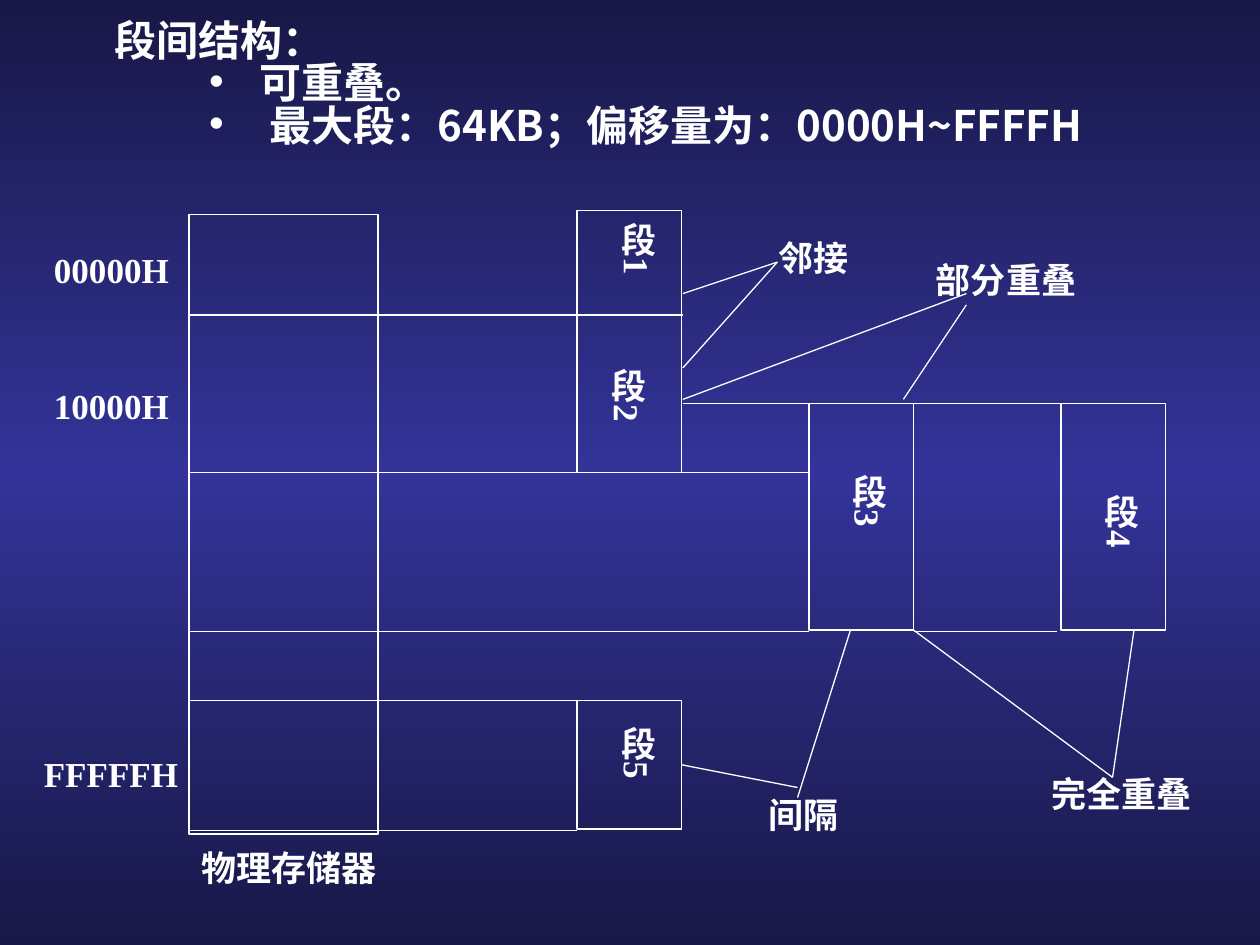
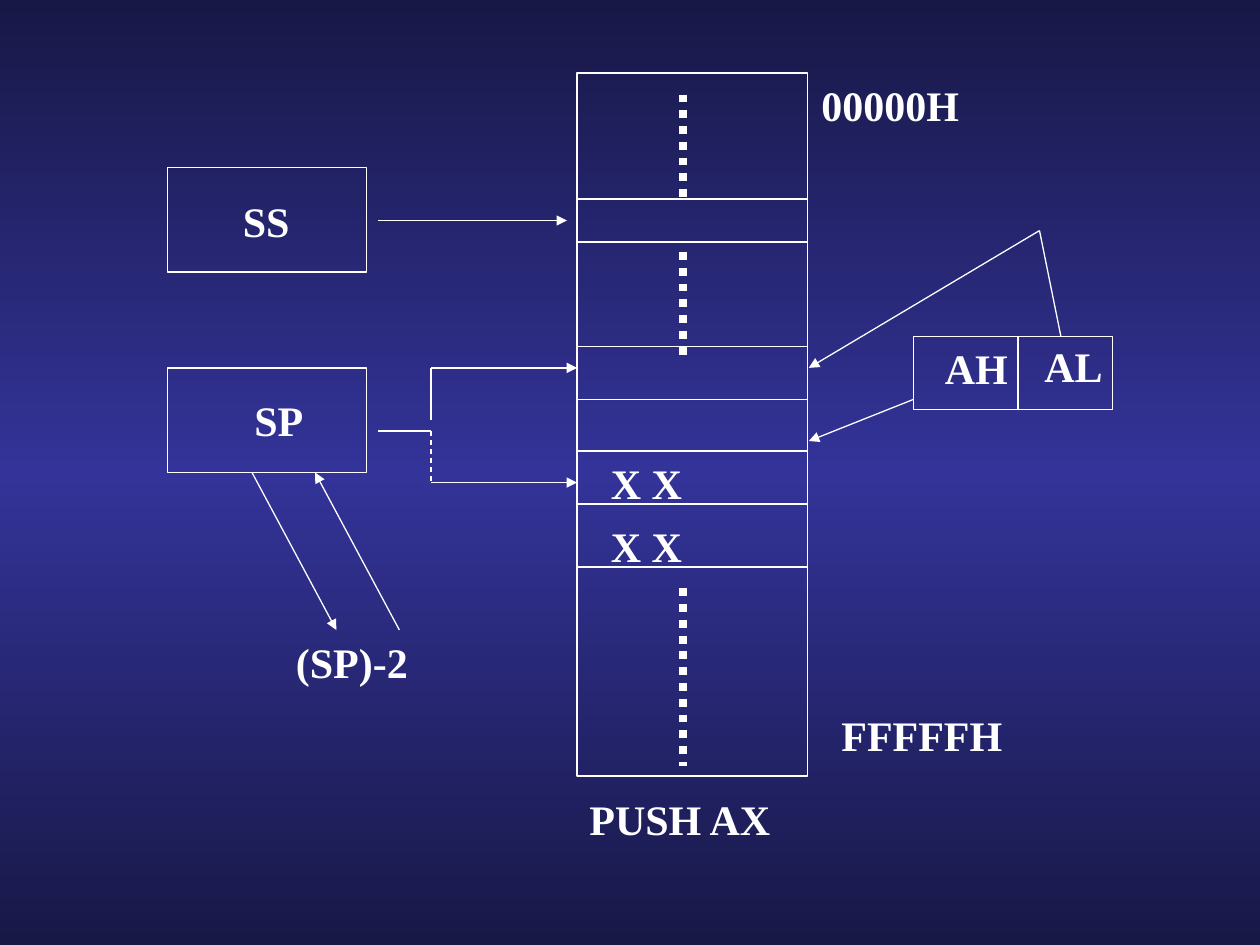
import copy
import dataclasses

import lxml.etree
import pptx
import pptx.dml.color
import pptx.enum.dml
import pptx.enum.shapes
import pptx.enum.text
import pptx.oxml.ns
import pptx.util

Inches = pptx.util.Inches
Points = pptx.util.Pt
qualified = pptx.oxml.ns.qn
LineStyle = pptx.enum.dml.MSO_LINE


@dataclasses.dataclass(frozen=True)
class Theme:
    """Colours, fonts and sizes shared by both slides."""
    edge: str = "181847"
    middle: str = "333399"
    ink: str = "FFFFFF"
    latin_font: str = "Times New Roman"
    chinese_font: str = "Noto Sans CJK JP"
    large: int = 24
    label: int = 20
    line: float = 0.75
    dots: float = 4.5
    label_height: float = 0.43
    large_height: float = 0.5


THEME = Theme()


@dataclasses.dataclass(frozen=True)
class Box:
    """A region in inches that turns local offsets into slide positions."""
    left: float
    top: float
    width: float
    height: float

    def inner(self, left, top, width, height):
        """Return a box placed relative to this one."""
        return Box(self.left + left, self.top + top, width, height)

    def point(self, offset):
        """Return the slide position of a local offset."""
        return Inches(self.left + offset[0]), Inches(self.top + offset[1])

    def frame(self):
        """Return left, top, width and height as lengths."""
        return tuple(Inches(value) for value in dataclasses.astuple(self))


def colour(value):
    """Return an RGB colour from its hexadecimal text."""
    return pptx.dml.color.RGBColor.from_string(value)


def write_text(paragraph, text, *, size=THEME.label, font=THEME.latin_font):
    """Write one formatted run with matching Chinese font."""
    run = paragraph.add_run()
    run.text = text
    run.font.size = Points(size)
    run.font.bold = True
    run.font.name = font
    run.font.color.rgb = colour(THEME.ink)
    latin = run._r.find(".//" + qualified("a:latin"))
    east_asian = lxml.etree.Element(
        qualified("a:ea"), typeface=THEME.chinese_font)
    latin.addnext(east_asian)


def add_label(slide, box, text, *, wrap=True, vertical=False, **text_format):
    """Add a text box that fits its text."""
    label = slide.shapes.add_textbox(*box.frame())
    frame = label.text_frame
    frame.word_wrap = wrap
    frame.auto_size = pptx.enum.text.MSO_AUTO_SIZE.SHAPE_TO_FIT_TEXT
    if vertical:
        label.element.find(".//" + qualified("a:bodyPr")).set("vert", "eaVert")
    write_text(frame.paragraphs[0], text, **text_format)


def add_large_label(slide, region, offset, width, text, *, wrap=True):
    """Add a large label at an offset within a region."""
    box = region.inner(*offset, width, THEME.large_height)
    add_label(slide, box, text, wrap=wrap, size=THEME.large)


def add_rectangle(slide, box):
    """Add an outlined rectangle without fill."""
    rectangle = slide.shapes.add_shape(
        pptx.enum.shapes.MSO_SHAPE.RECTANGLE, *box.frame())
    rectangle.shadow.inherit = False
    rectangle.fill.background()
    rectangle.line.color.rgb = colour(THEME.ink)
    rectangle.line.width = Points(THEME.line)
    return rectangle


def add_line(slide, region, start, end, *, width=THEME.line, dash=None, arrow=False):
    """Connect two local offsets with a line or an arrow."""
    connector = slide.shapes.add_connector(
        pptx.enum.shapes.MSO_CONNECTOR.STRAIGHT,
        *region.point(start), *region.point(end))
    connector.line.color.rgb = colour(THEME.ink)
    connector.line.width = Points(width)
    if dash:
        connector.line.dash_style = dash
    outline = connector.element.find(".//" + qualified("a:ln"))
    if arrow:
        lxml.etree.SubElement(outline, qualified("a:tailEnd"), type="triangle")
    lxml.etree.SubElement(outline.getparent(), qualified("a:effectLst"))
    return connector


def paint_background(master):
    """Give the master a vertical three-stop gradient."""
    fill = master.background.fill
    fill.gradient()
    fill.gradient_angle = 270
    background = master.element.find(".//" + qualified("p:bg"))
    first_stop = background.find(".//" + qualified("a:gs"))
    first_stop.addnext(copy.deepcopy(first_stop))
    stops = zip(fill.gradient_stops, (0, 0.5, 1),
                (THEME.edge, THEME.middle, THEME.edge))
    for stop, position, value in stops:
        stop.position = position
        stop.color.rgb = colour(value)


def fill_structure_list(slide, box):
    """Fill the body placeholder with the heading and its bullets."""
    body = slide.placeholders[1]
    body.left, body.top, body.width, body.height = box.frame()
    frame = body.text_frame
    frame.word_wrap = True
    frame.auto_size = pptx.enum.text.MSO_AUTO_SIZE.SHAPE_TO_FIT_TEXT
    frame.vertical_anchor = pptx.enum.text.MSO_ANCHOR.TOP
    items = [
        ("段间结构：", 1, 0.5, 0),
        ("可重叠。", 3, 1.65, -0.4),
        ("最大段：64KB；偏移量为：0000H~FFFFH", 3, 1.73, -0.48),
    ]
    for index, (text, level, margin, indent) in enumerate(items):
        paragraph = frame.add_paragraph() if index else frame.paragraphs[0]
        paragraph.level = level
        properties = paragraph._p.get_or_add_pPr()
        properties.set("marL", str(Inches(margin)))
        properties.set("indent", str(Inches(indent)))
        if indent:
            lxml.etree.SubElement(properties, qualified("a:buFont"), typeface="Arial")
            lxml.etree.SubElement(properties, qualified("a:buChar"), char="•")
        else:
            lxml.etree.SubElement(properties, qualified("a:buNone"))
        paragraph.line_spacing = 0.75
        paragraph.space_before = Points(2.5 if index else 0)
        write_text(paragraph, text, size=THEME.large, font=THEME.chinese_font)


def draw_physical_memory(slide, box):
    """Draw the physical memory with its addresses and caption."""
    add_rectangle(slide, box)
    labels = [
        ("00000H", -1.17, 0.22, 1.28),
        ("10000H", -1.17, 1.3, 1.17),
        ("FFFFFH", -1.25, 4.22, 1.36),
        ("物理存储器", 0, 4.97, 1.67),
    ]
    for text, left, top, width in labels:
        add_label(slide, box.inner(left, top, width, THEME.label_height), text)


def draw_segments(slide, box):
    """Draw segment boundaries and boxes, and return the boxes by name."""
    boundaries = [
        (0, 3.92, 0.83), (0, 3.08, 2.08), (0, 3.08, 3.89), (0, 3.08, 4.92),
        (0, 4.92, 3.34), (5.75, 6.89, 3.34), (5.7, 6.92, 1.53),
        (3.92, 4.92, 1.53), (3.89, 4.92, 2.08),
    ]
    for start, end, height in boundaries:
        add_line(slide, box, (start, height), (end, height))
    outlines = {
        "段2": (3.08, 0, 2.08), "段3": (4.92, 1.53, 1.8),
        "段4": (6.92, 1.53, 1.8), "段5": (3.08, 3.89, 1.02),
    }
    rectangles = {name: add_rectangle(slide, box.inner(left, top, 0.83, height))
                  for name, (left, top, height) in outlines.items()}
    names = {"段1": (3.25, 0), "段2": (3.17, 1.16), "段3": (5.08, 2),
             "段4": (7.08, 2.16), "段5": (3.25, 4)}
    for name, offset in names.items():
        add_label(slide, box.inner(*offset, 0.53, 0.75), name, vertical=True)
    return rectangles


def draw_relations(slide, box, segments):
    """Name the relations between segments and point at them."""
    relations = [
        ("邻接", (4.58, 0.16), 0.83,
         [((4.67, 0.41), (3.92, 0.66)), ((4.67, 0.41), (3.92, 1.25))]),
        ("部分重叠", (5.83, 0.33), 1.33,
         [((6.17, 0.66), (3.92, 1.5)), ((6.17, 0.75), (5.67, 1.5))]),
        ("间隔", (4.5, 4.58), 0.83, [((5.25, 3.33), (4.83, 4.66))]),
        ("完全重叠", (6.75, 4.41), 1.33,
         [((5.75, 3.33), (7.33, 4.5)), ((7.33, 4.5), (7.5, 3.33))]),
    ]
    for text, offset, width, pointers in relations:
        add_label(slide, box.inner(*offset, width, THEME.label_height), text)
        for start, end in pointers:
            add_line(slide, box, start, end)
    gap_pointer = add_line(slide, box, (4.83, 4.58), (3.92, 4.41))
    gap_pointer.end_connect(segments["段5"], 3)


def draw_stack_memory(slide, box):
    """Draw the memory column with its rows, contents and addresses."""
    add_rectangle(slide, box)
    for row in (1, 1.34, 2.17, 2.59, 3, 3.42, 3.92):
        add_line(slide, box, (0, row), (box.width, row))
    for start, end in ((4.09, 5.5), (0.17, 1), (1.42, 2.25)):
        add_line(slide, box, (0.84, start), (0.84, end),
                 width=THEME.dots, dash=LineStyle.ROUND_DOT)
    for top in (3, 3.5):
        add_large_label(slide, box, (0.17, top), 1.27, "X X")
    add_large_label(slide, box, (1.84, 0), 1.29, "00000H", wrap=False)
    add_large_label(slide, box, (2, 5), 1.48, "FFFFFH", wrap=False)
    add_large_label(slide, box, (0, 5.67), box.width, "PUSH AX")


def draw_stack_registers(slide, box):
    """Draw SS and SP, their pointers and the update of SP."""
    registers = [("SS", 0, (0.5, 0.17), 0.57), ("SP", 1.59, (0.59, 1.75), 0.59)]
    for name, top, offset, width in registers:
        add_rectangle(slide, box.inner(0, top, box.width, 0.83))
        add_large_label(slide, box, offset, width, name, wrap=False)
    add_large_label(slide, box, (0.92, 3.67), 1.25, "(SP)-2")
    arrows = [
        ((1.67, 0.42), (3.17, 0.42)), ((2.09, 1.59), (3.25, 1.59)),
        ((2.09, 2.5), (3.25, 2.5)), ((0.67, 2.42), (1.34, 3.67)),
        ((1.84, 3.67), (1.17, 2.42)),
    ]
    for start, end in arrows:
        add_line(slide, box, start, end, arrow=True)
    add_line(slide, box, (1.67, 2.09), (2.09, 2.09))
    add_line(slide, box, (2.09, 1.59), (2.09, 2))
    add_line(slide, box, (2.09, 2.09), (2.09, 2.5), dash=LineStyle.DASH)


def draw_accumulator(slide, box):
    """Draw AX as two halves that are pushed to memory."""
    add_rectangle(slide, box)
    add_line(slide, box, (0.83, 0), (0.83, box.height))
    add_large_label(slide, box, (0.15, 0), 0.75, "AH")
    add_large_label(slide, box, (0.94, -0.02), 0.67, "AL")
    add_line(slide, box, (0, 0.5), (-0.83, 0.83), arrow=True)
    add_line(slide, box, (1, -0.84), (-0.83, 0.25), arrow=True)
    add_line(slide, box, (1, -0.84), (1.17, 0))


def build_segment_slide(presentation):
    """Build the slide on how segments relate."""
    slide = presentation.slides.add_slide(presentation.slide_layouts[1])
    title = slide.shapes.title.element
    title.getparent().remove(title)
    fill_structure_list(slide, Box(0.31, 0.16, 9.21, 1.24))
    draw_physical_memory(slide, Box(1.5, 1.7, 1.5, 4.92))
    diagram = Box(1.5, 1.67, 7.75, 4.92)
    segments = draw_segments(slide, diagram)
    draw_relations(slide, diagram, segments)


def build_push_slide(presentation):
    """Build the slide on the push instruction."""
    slide = presentation.slides.add_slide(presentation.slide_layouts[6])
    draw_stack_memory(slide, Box(4.58, 0.58, 1.83, 5.58))
    draw_stack_registers(slide, Box(1.33, 1.33, 1.58, 2.42))
    draw_accumulator(slide, Box(7.25, 2.67, 1.58, 0.58))


def main():
    """Build and save the presentation."""
    presentation = pptx.Presentation()
    presentation.slide_width = Inches(10)
    presentation.slide_height = Inches(7.5)
    paint_background(presentation.slide_master)
    build_segment_slide(presentation)
    build_push_slide(presentation)
    presentation.save("out.pptx")


if __name__ == "__main__":
    main()
